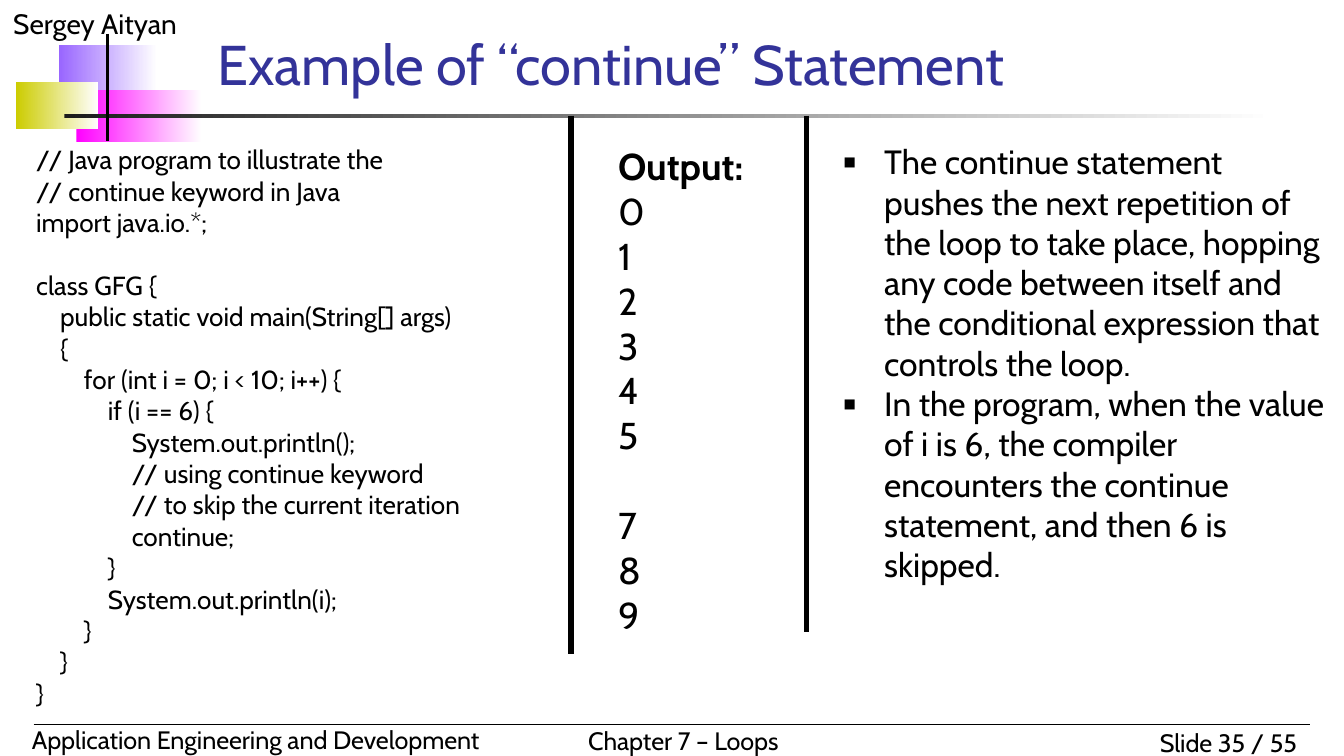
from lxml.etree import SubElement
from pptx import Presentation
from pptx.dml.color import RGBColor
from pptx.enum.shapes import MSO_CONNECTOR as Connector, MSO_SHAPE as Shape
from pptx.enum.text import MSO_ANCHOR as Anchor, MSO_AUTO_SIZE as AutoSize, PP_ALIGN as Align
from pptx.oxml.ns import qn
from pptx.util import Pt

CODE = """\
// Java program to illustrate the
// continue keyword in Java
import java.io.*;

class GFG {
    public static void main(String[] args)
    {
        for (int i = 0; i < 10; i++) {
            if (i == 6) {
                System.out.println();
                // using continue keyword
                // to skip the current iteration
                continue;
            }
            System.out.println(i);
        }
    }
}"""

POINTS = [
    "The continue statement pushes the next repetition of the loop to take place, "
    "hopping any code between itself and the conditional expression that controls the loop.",
    "In the program, when the value of i is 6, the compiler encounters the continue "
    "statement, and then 6 is skipped.",
]


def color(value):
    return RGBColor.from_string(value)


class SlideBuilder:
    font = "Cabin"
    ink = "000000"
    title_ink = "333399"
    paper = "FFFFFF"
    line_height = 1.2
    code_indent = 12.8
    bullet_indent = 22.3

    def __init__(self, slide):
        self.slide = slide

    def place(self, shape, left, top, width, height):
        shape.left, shape.top = Pt(left), Pt(top)
        shape.width, shape.height = Pt(width), Pt(height)

    def set_text(self, shape, lines, size, ink=None, align=Align.LEFT, anchor=Anchor.TOP, wrap=True):
        frame = shape.text_frame
        frame.text = "\n".join(lines)
        frame.word_wrap = wrap
        frame.auto_size = AutoSize.NONE
        frame.vertical_anchor = anchor
        for paragraph in frame.paragraphs:
            paragraph.alignment = align
            paragraph.space_before = Pt(0)
            for run in paragraph.runs:
                run.font.name = self.font
                run.font.size = Pt(size)
                run.font.color.rgb = color(ink or self.ink)
        return frame.paragraphs

    def indent(self, paragraph, margin, hanging=0):
        properties = paragraph._p.get_or_add_pPr()
        properties.set("marL", str(Pt(margin)))
        properties.set("indent", str(-Pt(hanging)))
        return properties

    def skip_line(self, paragraph, size):
        paragraph.space_before = Pt(size * self.line_height)

    def fade(self, box, start):
        shape = self.slide.shapes.add_shape(Shape.RECTANGLE, *map(Pt, box))
        shape.shadow.inherit = False
        shape.line.fill.background()
        shape.fill.gradient()
        shape.fill.gradient_angle = 0
        for stop, value in zip(shape.fill.gradient_stops, (start, self.paper)):
            stop.color.rgb = color(value)

    def line(self, x1, y1, x2, y2, width):
        line = self.slide.shapes.add_connector(Connector.STRAIGHT, *map(Pt, (x1, y1, x2, y2)))
        line.line.color.rgb = color(self.ink)
        line.line.width = Pt(width)
        SubElement(line._element.spPr, qn("a:effectLst"))

    def text(self, box, lines, size, **options):
        shape = self.slide.shapes.add_textbox(*map(Pt, box))
        return self.set_text(shape, lines, size, **options)

    def title(self, box, text, size):
        shape = self.slide.shapes.title
        self.place(shape, *box)
        self.set_text(shape, [text], size, ink=self.title_ink, anchor=Anchor.BOTTOM)

    def code(self, placeholder, box, source, size):
        self.place(placeholder, *box)
        placeholder.fill.solid()
        placeholder.fill.fore_color.rgb = color(self.paper)
        lines = source.split("\n")
        filled = [line for line in lines if line]
        paragraphs = self.set_text(placeholder, [line.strip() for line in filled], size)
        for line, paragraph in zip(filled, paragraphs):
            level = (len(line) - len(line.lstrip())) // 4
            SubElement(self.indent(paragraph, level * self.code_indent), qn("a:buNone"))
        self.skip_line(paragraphs[lines.index("")], size)

    def bullets(self, placeholder, box, lines, size):
        self.place(placeholder, *box)
        for paragraph in self.set_text(placeholder, lines, size):
            properties = self.indent(paragraph, self.bullet_indent, self.bullet_indent)
            SubElement(properties, qn("a:buSzPct"), val="120000")
            SubElement(properties, qn("a:buChar"), char="▪")


def main():
    presentation = Presentation()
    presentation.slide_width, presentation.slide_height = Pt(720), Pt(405)
    slide = presentation.slides.add_slide(presentation.slide_layouts[3])
    builder = SlideBuilder(slide)
    code_holder, points_holder = slide.placeholders[1], slide.placeholders[2]

    # Corner decoration and title rule
    builder.fade((31.7, 24, 52.5, 28), "9966FF")
    builder.fade((41, 48, 67, 28), "FF00FF")
    builder.fade((8.6, 43.7, 44, 25.2), "CCCC00")
    builder.fade((34.5, 61, 648, 2), "1C1C1C")
    builder.line(57.6, 18, 57.6, 75.6, 2)

    # Header and footer
    builder.text((0, 0, 180, 25), ["Sergey Aityan"], 15)
    builder.text((10, 384.5, 266, 24), ["Application Engineering and Development"], 13.5)
    builder.text((308, 385.2, 125, 24), ["Chapter 7 – Loops"], 13.5, wrap=False)
    builder.text((594, 386, 108, 24), ["Slide 35 / 55"], 13.5, align=Align.RIGHT)
    builder.line(18, 388, 702, 388, 0.75)

    # Title and code
    builder.title((109.4, 16.5, 529, 39), "Example of “continue” Statement", 30)
    builder.code(code_holder, (12.2, 73.4, 282, 253), CODE, 14)

    # Program output, with a gap where 6 is skipped
    numbers = [str(number) for number in range(10) if number != 6]
    output = builder.text((324, 73.4, 137.5, 117), ["Output:"] + numbers, 20)
    output[0].runs[0].font.bold = True
    builder.skip_line(output[1 + numbers.index("7")], 20)

    # Column dividers
    builder.line(306, 62, 306, 350.6, 3)
    builder.line(432, 62, 432, 338.4, 3)

    # Explanation
    builder.bullets(points_holder, (444.2, 72, 273, 291), POINTS, 18)

    presentation.save("out.pptx")


if __name__ == "__main__":
    main()
